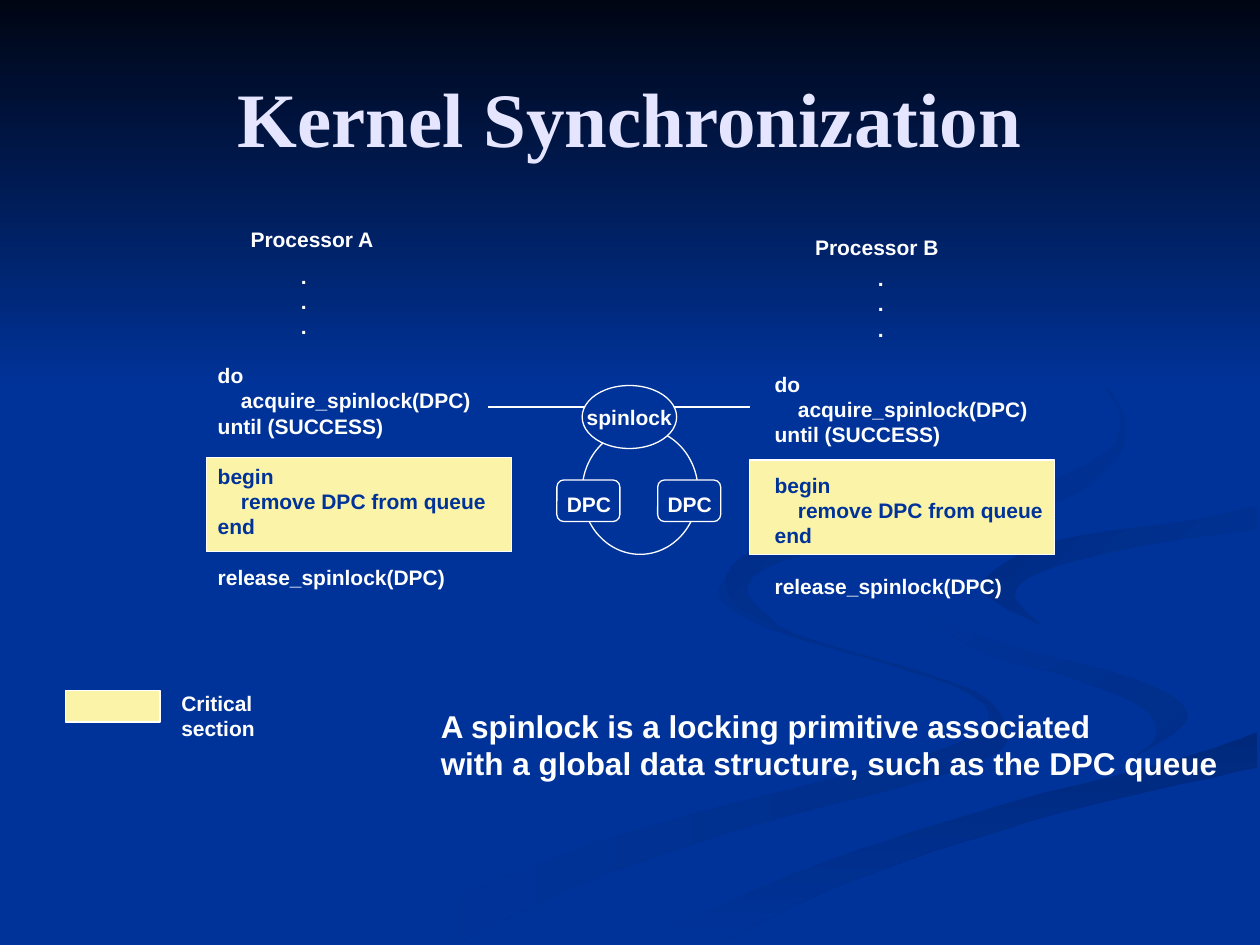
from dataclasses import dataclass

from lxml import etree
from pptx import Presentation
from pptx.dml.color import RGBColor
from pptx.enum.shapes import MSO_CONNECTOR, MSO_SHAPE
from pptx.enum.text import MSO_ANCHOR, MSO_AUTO_SIZE, PP_ALIGN
from pptx.util import Inches, Pt

RECT, OVAL, ROUND = MSO_SHAPE.RECTANGLE, MSO_SHAPE.OVAL, MSO_SHAPE.ROUNDED_RECTANGLE
LINE = MSO_CONNECTOR.STRAIGHT
LEFT, MID = PP_ALIGN.LEFT, PP_ALIGN.CENTER
TOP, CORE = MSO_ANCHOR.TOP, MSO_ANCHOR.MIDDLE
GROW, FIXED = MSO_AUTO_SIZE.SHAPE_TO_FIT_TEXT, MSO_AUTO_SIZE.NONE
A_NS = "http://schemas.openxmlformats.org/drawingml/2006/main"


@dataclass(frozen=True)
class Theme:
    """Colours, fonts and sizes of the slide."""
    blue: str = "003399"
    night: str = "000514"
    dusk: str = "002E8A"
    deep: str = "00297C"
    shade: str = "002B81"
    white: str = "FFFFFF"
    pale: str = "E5E5FF"
    cream: str = "FBF3A7"
    sans: str = "Arial"
    serif: str = "Times New Roman"
    title: int = 44
    note: int = 18
    label: int = 12
    rule: float = 0.75
    lead: float = 1.2


THEME = Theme()

CODE = [
    "do\v    acquire_spinlock(DPC)\vuntil (SUCCESS)",
    "begin\v    remove DPC from queue\vend",
    "release_spinlock(DPC)",
]
NOTE = ("A spinlock is a locking primitive associated\v"
        "with a global data structure, such as the DPC queue")


def tint(hue):
    """Turn a hex string into a colour."""
    return RGBColor.from_string(hue)


def paint(fill, start, end=None, angle=0):
    """Fill with one colour, or with a gradient turned clockwise by the angle."""
    if end is None:
        fill.solid()
        fill.fore_color.rgb = tint(start)
        return
    fill.gradient()
    fill.gradient_angle = 360 - angle
    for spot, (stop, hue) in enumerate(zip(fill.gradient_stops, (start, end))):
        stop.color.rgb = tint(hue)
        stop.position = spot


def edge(line):
    """Give a line the thin white style."""
    line.color.rgb = tint(THEME.white)
    line.width = Pt(THEME.rule)


def write(frame, lines, size=THEME.label, font=THEME.sans, inks=(THEME.white,),
          align=LEFT, anchor=TOP, wrap=False, fit=FIXED, gap=0):
    """Fill a text frame with bold paragraphs, cycling through the inks."""
    frame.word_wrap, frame.auto_size, frame.vertical_anchor = wrap, fit, anchor
    for i, line in enumerate(lines):
        para = frame.add_paragraph() if i else frame.paragraphs[0]
        para.text = line
        para.alignment = align
        para.line_spacing = Pt(size * THEME.lead)
        if i:
            para.space_before = Pt(gap)
        for run in para.runs:
            run.font.size, run.font.name, run.font.bold = Pt(size), font, True
            run.font.color.rgb = tint(inks[i % len(inks)])


def text(slide, box, lines, fit=GROW, **style):
    """Add a text box."""
    frame = slide.shapes.add_textbox(*map(Inches, box)).text_frame
    write(frame, lines, fit=fit, **style)


def shape(slide, kind, box, *fill, rim=True):
    """Add a filled preset shape, with a thin white rim if wanted."""
    item = slide.shapes.add_shape(kind, *map(Inches, box))
    item.shadow.inherit = False
    paint(item.fill, *(fill or (THEME.blue,)))
    if rim:
        edge(item.line)
    else:
        item.line.fill.background()
    return item


def link(slide, *ends):
    """Add a thin white line."""
    item = slide.shapes.add_connector(LINE, *map(Inches, ends))
    edge(item.line)
    etree.SubElement(item._element.spPr, f"{{{A_NS}}}effectLst")


def blend(a, b, c, d, t):
    """Find the value at t between b and c on a Catmull-Rom curve."""
    return b + t / 2 * (c - a + t * (2 * a - 5 * b + 4 * c - d + t * (3 * (b - c) + d - a)))


def smooth(knots, steps=6):
    """Run a soft curve through the knots."""
    knots = [knots[0], *knots, knots[-1]]
    curve = [tuple(blend(*axis, i / steps) for axis in zip(*knots[n:n + 4]))
             for n in range(len(knots) - 3) for i in range(steps)]
    return [*curve, knots[-1]]


def ribbon(slide, fill, *sides):
    """Add an outline whose sides are curves, joined in turn."""
    first, *rest = [(x * 100, y * 100) for side in sides for x, y in smooth(side)]
    pen = slide.shapes.build_freeform(*first, scale=Inches(0.01))
    pen.add_line_segments(rest, close=True)
    item = pen.convert_to_shape()
    item.shadow.inherit = False
    item.line.fill.background()
    paint(item.fill, *fill)


def scenery(slide):
    """Draw the ribbons and the night sky, sharing the sides that touch."""
    bank = [(7.25, 4.64), (7.45, 4.9), (8.12, 5.15), (9.05, 5.4), (9.43, 5.7), (8.94, 6.05)]
    sill = [(5.03, 7.49), (5.69, 7.19), (6.62, 6.81), (7.97, 6.38), (9.36, 6.02), (9.98, 5.81)]
    bend = [(7.81, 4.6), (8.35, 4.3), (9.33, 4.15), (9.98, 4.02)]

    stream = [(5.75, 4.59), (5.72, 4.76), (6.11, 4.99), (6.97, 5.25), (7.62, 5.47),
              (7.85, 5.7), (7.49, 5.94), (6.52, 6.2), (4.99, 6.61), (3.76, 7.07), (3, 7.49)]
    shore = [(3.61, 7.49), (4.66, 7), (5.94, 6.56), (7.21, 6.23), (7.86, 6.01), (8, 5.81),
             (7.81, 5.53), (7.31, 5.33), (6.42, 5.07), (5.87, 4.81), (5.75, 4.59)]
    ribbon(slide, (THEME.dusk, THEME.blue, 180), stream, shore)

    inner = [(8.94, 6.05), (9.17, 5.85), (9.07, 5.62), (8.54, 5.39), (7.81, 5.18),
             (7.33, 4.88), (7.25, 4.64)]
    ribbon(slide, (THEME.dusk, THEME.blue, 225), bank, inner)

    floor = [(9.98, 6.09), (8.61, 6.4), (7.22, 6.82), (6.3, 7.19), (5.71, 7.49)]
    ribbon(slide, (THEME.deep, THEME.blue, 90), sill, floor)

    brow = [(9.98, 3.87), (9.2, 4.01), (8.08, 4.17), (7.42, 4.39)]
    run = [(8.43, 6.18), (7.43, 6.43), (6.19, 6.84), (4.77, 7.49)]
    fork = [(9.98, 5.38), (9.41, 5.27), (8.66, 5.09), (8.04, 4.85), (7.81, 4.6)]
    ribbon(slide, (THEME.blue,), brow + bank + run, sill, fork, bend)

    tip = [(7.91, 4.78), (8.26, 4.96)]
    arm = [(8.26, 4.96), (8.05, 4.72), (8.28, 4.53), (8.96, 4.35), (9.98, 4.2)]
    ribbon(slide, (THEME.blue, THEME.shade, 225), bend[::-1] + tip, arm)

    outer = [(7.62, 2.33), (8.21, 2.61), (8.73, 2.99), (8.94, 3.44), (8.67, 3.84),
             (8.07, 4.07), (6.83, 4.3), (6.14, 4.48), (5.93, 4.7), (6.22, 5)]
    hook = [(6.22, 5), (5.84, 4.79), (5.8, 4.51), (6.25, 4.26), (7.33, 4.04), (8.3, 3.82),
            (8.82, 3.54), (8.85, 3.2), (8.46, 2.79), (7.62, 2.33)]
    ribbon(slide, (THEME.blue, THEME.shade, 225), outer, hook)

    shape(slide, RECT, (0, 0, 10, 3.08), THEME.night, THEME.blue, 90, rim=False)


def lane(slide, name, head, dots, code):
    """Add one processor's heading, dots and code."""
    text(slide, (*head, 1.18, 0.3), [name])
    text(slide, (*dots, 0.24, 0.7), ["."] * 3)
    text(slide, (*code, 2.33, 1.9), CODE, gap=THEME.label * THEME.lead,
         inks=(THEME.white, THEME.blue))


def main():
    """Build the slide and save it."""
    deck = Presentation()
    deck.slide_width, deck.slide_height = Inches(10), Inches(7.5)
    slide = deck.slides.add_slide(deck.slide_layouts[6])
    paint(slide.background.fill, THEME.blue)
    scenery(slide)

    shape(slide, OVAL, (4.62, 3.4, 0.92, 1))
    for box in ((5.95, 3.65, 2.42, 0.75), (1.64, 3.63, 2.42, 0.75), (0.52, 5.48, 0.75, 0.25)):
        shape(slide, RECT, box, THEME.cream)
    text(slide, (0.5, 0.3, 9, 1.25), ["Kernel Synchronization"], size=THEME.title, fit=FIXED,
         font=THEME.serif, inks=(THEME.pale,), align=MID, anchor=CORE, wrap=True)
    lane(slide, "Processor A", (1.89, 1.75), (2.29, 2.04), (1.63, 2.83))
    lane(slide, "Processor B", (6.37, 1.81), (6.87, 2.06), (6.05, 2.9))
    text(slide, (1.34, 5.43, 1.39, 0.3), ["Critical section"])

    link(slide, 3.87, 3.23, 5.95, 3.23)
    lock = shape(slide, OVAL, (4.62, 3.06, 0.75, 0.5))
    write(lock.text_frame, ["spinlock"], align=MID, anchor=CORE)
    for x in (4.42, 5.22):
        shape(slide, ROUND, (x, 3.81, 0.5, 0.33))
        text(slide, (x - 0.02, 3.85, 0.55, 0.3), ["DPC"])
    text(slide, (3.4, 5.56, 6.37, 0.7), [NOTE], size=THEME.note)
    deck.save("out.pptx")


if __name__ == "__main__":
    main()
